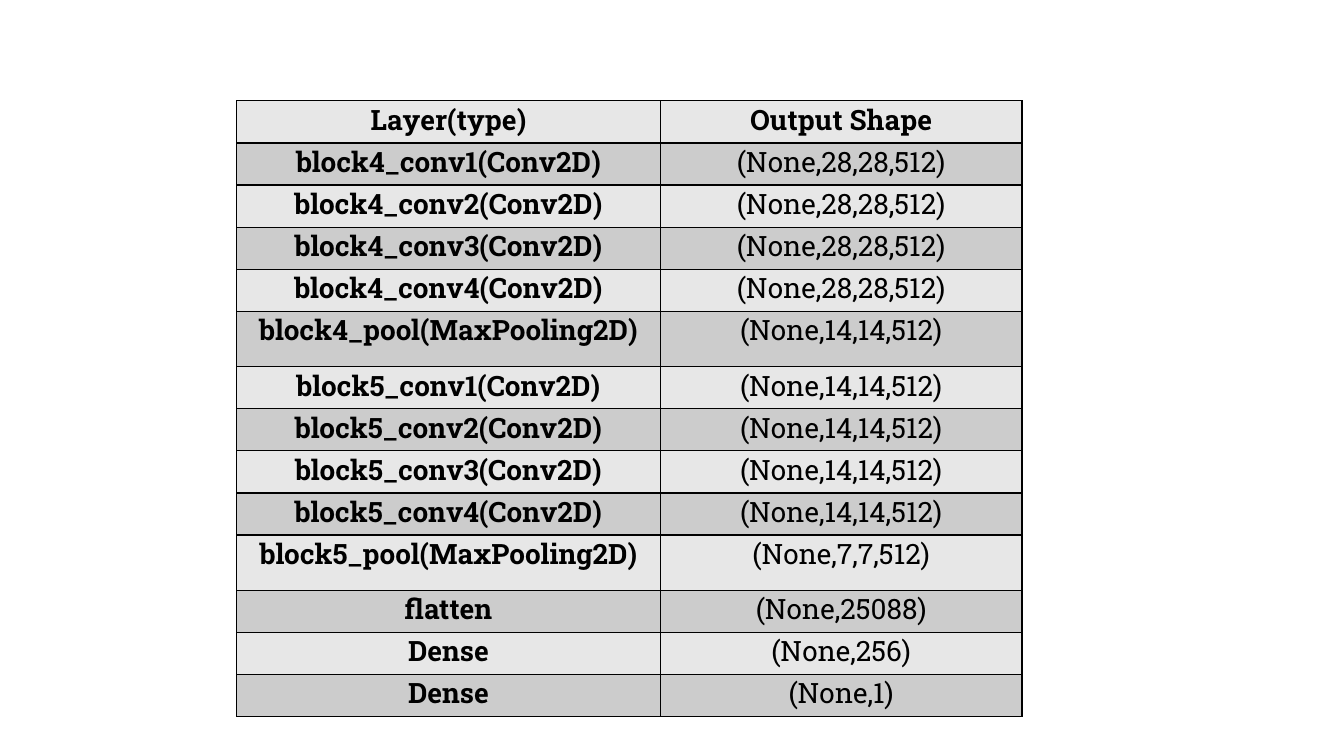
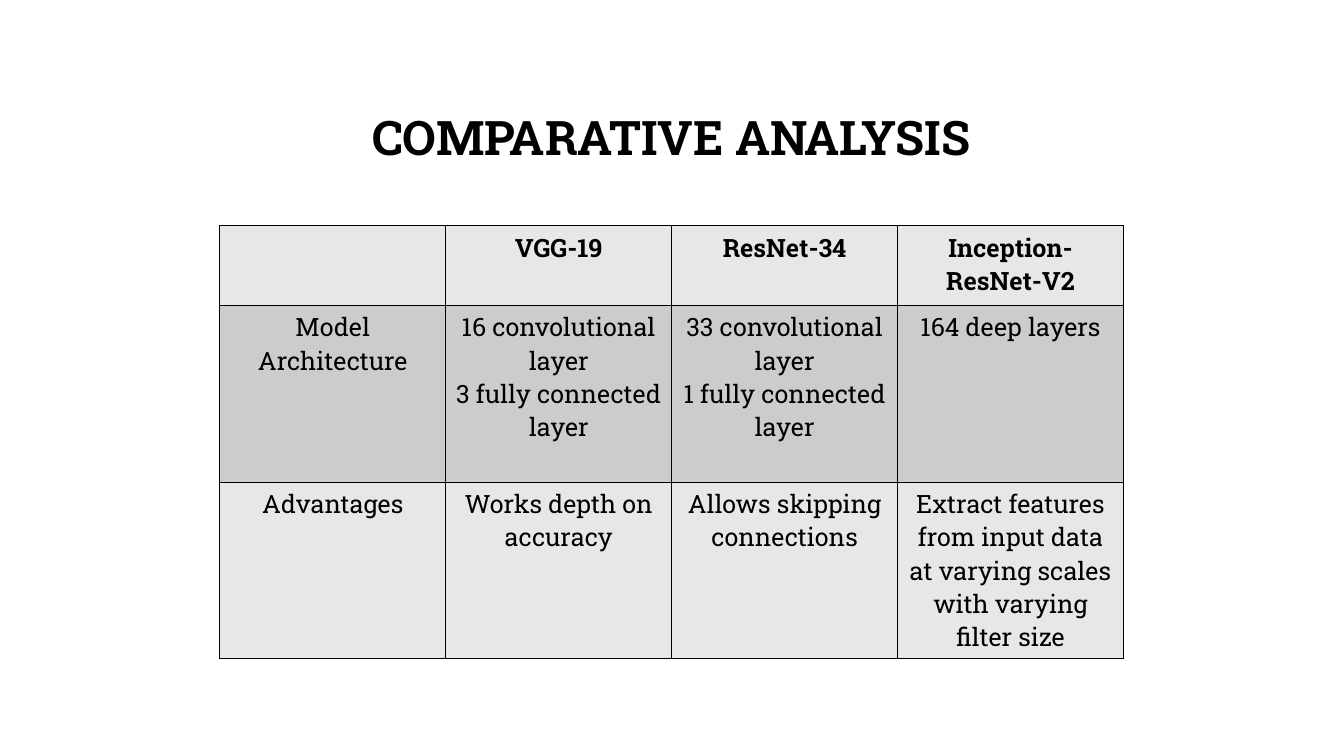
from lxml.etree import SubElement
from pptx import Presentation
from pptx.dml.color import RGBColor
from pptx.enum.text import MSO_ANCHOR, MSO_AUTO_SIZE, PP_ALIGN
from pptx.oxml.ns import qn
from pptx.util import Pt

# Shared look
COLORS = {"ink": "000000", "light": "E7E7E7", "dark": "CCCCCC"}
FONT = "Roboto Slab"
BORDER = Pt(1)
TITLE_ONLY, BLANK = 5, 6

# Layer table
CONV_ROW, POOL_ROW = 30.1, 39.5
LAYERS = [("Layer(type)", "Output Shape")]
for block, size, pooled in ((4, 28, 14), (5, 14, 7)):
    LAYERS += [(f"block{block}_conv{n}(Conv2D)", f"(None,{size},{size},512)")
               for n in range(1, 5)]
    LAYERS.append((f"block{block}_pool(MaxPooling2D)", f"(None,{pooled},{pooled},512)"))
LAYERS += [("flatten", "(None,25088)"), ("Dense", "(None,256)"), ("Dense", "(None,1)")]

# Model comparison; a line break separates paragraphs
COMPARISON = [
    ("", "VGG-19", "ResNet-34", "Inception-ResNet-V2"),
    ("Model Architecture",
     "16 convolutional layer\n3 fully connected layer",
     "33 convolutional layer\n1 fully connected layer",
     "164 deep layers"),
    ("Advantages", "Works depth on accuracy", "Allows skipping connections",
     "Extract features from input data at varying scales with varying filter size"),
]


def color(name):
    return RGBColor.from_string(COLORS[name])


def add_run(paragraph, text, size, bold):
    paragraph.alignment = PP_ALIGN.CENTER
    run = paragraph.add_run()
    run.text = text
    run.font.name, run.font.size, run.font.bold = FONT, Pt(size), bold
    run.font.color.rgb = color("ink")


def add_title(slide, text):
    title = slide.shapes.title
    title.left, title.top, title.width, title.height = Pt(72), Pt(48), Pt(815), Pt(104.4)
    frame = title.text_frame
    frame.word_wrap = True
    frame.auto_size = MSO_AUTO_SIZE.NONE
    frame.vertical_anchor = MSO_ANCHOR.MIDDLE
    paragraph = frame.paragraphs[0]
    paragraph.line_spacing = 0.9
    add_run(paragraph, text, 34, True)


def add_borders(cell):
    properties = cell._tc.get_or_add_tcPr()
    for side in ("lnL", "lnR", "lnT", "lnB"):
        line = SubElement(properties, qn(f"a:{side}"), w=str(BORDER))
        fill = SubElement(line, qn("a:solidFill"))
        SubElement(fill, qn("a:srgbClr"), val=COLORS["ink"])


def fill_cell(cell, text, size, bold, shade, margins):
    if margins:
        cell.margin_left = cell.margin_right = Pt(margins[0])
        cell.margin_top = cell.margin_bottom = Pt(margins[1])
    add_borders(cell)
    cell.fill.solid()
    cell.fill.fore_color.rgb = color(shade)
    frame = cell.text_frame
    for index, line in enumerate(text.splitlines()):
        paragraph = frame.add_paragraph() if index else frame.paragraphs[0]
        add_run(paragraph, line, size, bold)


def add_striped_table(slide, left, top, widths, heights, rows, size,
                      bold_first_column=False, margins=None):
    table = slide.shapes.add_table(len(rows), len(widths), Pt(left), Pt(top),
                                   Pt(sum(widths)), Pt(sum(heights))).table
    table.first_row = table.horz_banding = False
    for column, width in zip(table.columns, widths):
        column.width = Pt(width)
    for r, (texts, height) in enumerate(zip(rows, heights)):
        table.rows[r].height = Pt(height)
        shade = "dark" if r % 2 else "light"
        for c, text in enumerate(texts):
            bold = r == 0 or (bold_first_column and c == 0)
            fill_cell(table.cell(r, c), text, size, bold, shade, margins)


def add_layers_slide(deck):
    slide = deck.slides.add_slide(deck.slide_layouts[BLANK])
    heights = [POOL_ROW if "pool" in layer else CONV_ROW for layer, _ in LAYERS]
    add_striped_table(slide, 169.2, 72, [302.4, 258.5], heights, LAYERS, 20,
                      bold_first_column=True, margins=(3, 0))


def add_comparison_slide(deck):
    slide = deck.slides.add_slide(deck.slide_layouts[TITLE_ONLY])
    add_title(slide, "COMPARATIVE ANALYSIS")
    add_striped_table(slide, 157, 161.2, [161.4] * 4, [56.9, 126.3, 126], COMPARISON, 18)


def main():
    deck = Presentation()
    deck.slide_width, deck.slide_height = Pt(960), Pt(540)
    add_layers_slide(deck)
    add_comparison_slide(deck)
    deck.save("out.pptx")


if __name__ == "__main__":
    main()
